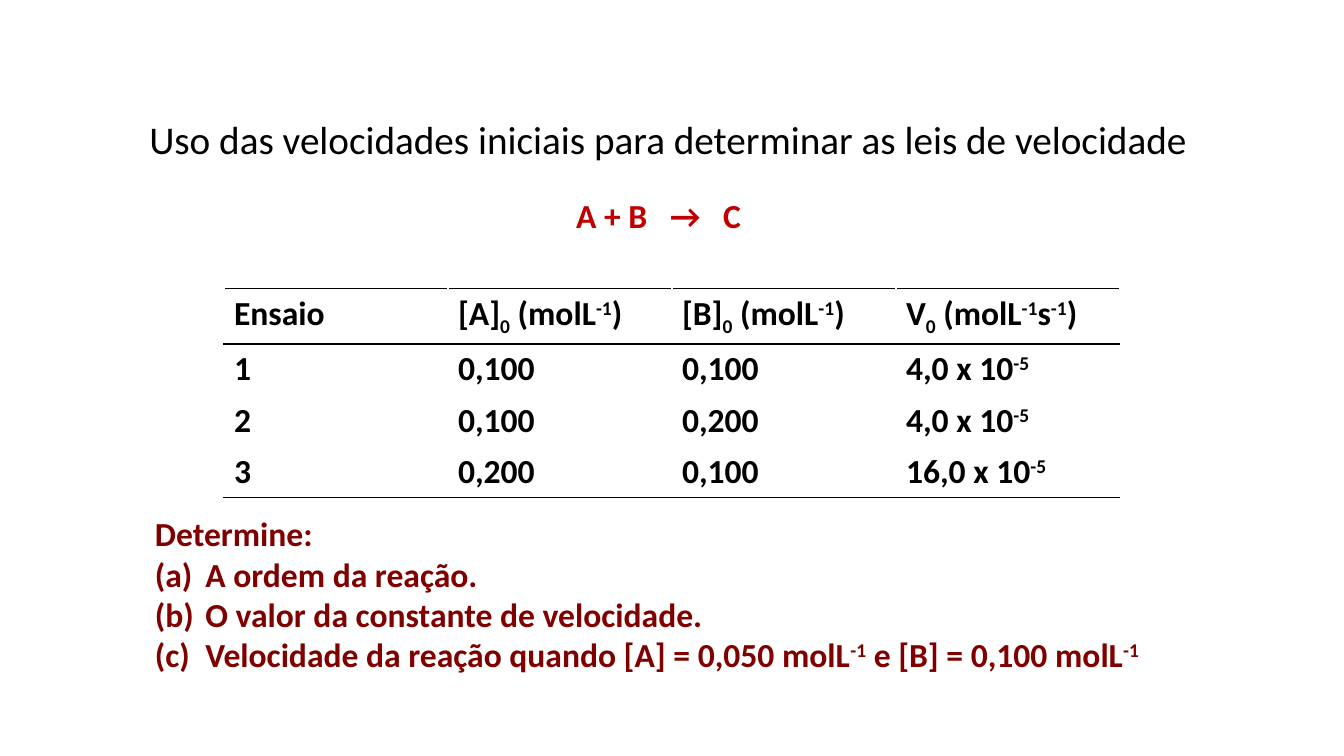
from lxml import etree
from pptx import Presentation
from pptx.dml.color import RGBColor
from pptx.enum import text
from pptx.oxml import ns
from pptx.util import Pt

BLACK, RED, MAROON = "000000", "C00000", "800000"
BASELINES = {"^": "30000", "_": "-25000"}
HEADERS = ["Ensaio", "[A]|_0| (molL|^-1|)", "[B]|_0| (molL|^-1|)",
           "V|_0| (molL|^-1|s|^-1|)"]
TRIALS = [["1", "0,100", "0,100", "4,0 x 10|^-5"],
          ["2", "0,100", "0,200", "4,0 x 10|^-5"],
          ["3", "0,200", "0,100", "16,0 x 10|^-5"]]
QUESTIONS = ["A ordem da reação.", "O valor da constante de velocidade.",
             "Velocidade da reação quando [A] = 0,050 molL|^-1| e [B] = 0,100 molL|^-1"]


def rgb(color):
    return RGBColor.from_string(color)


def add_xml(parent, tag, **attributes):
    return etree.SubElement(parent, ns.qn(tag), attributes)


def write(p, markup, size, color, bold=True):
    p.font.name, p.font.size, p.font.bold = "Calibri", Pt(size), bold
    p.font.color.rgb = rgb(color)
    for part in markup.split("|"):
        r = p.add_run()
        baseline = BASELINES.get(part[:1])
        r.text = part[1:] if baseline else part
        if baseline:
            r._r.get_or_add_rPr().set("baseline", baseline)


def place(sp, box):
    sp.left, sp.top, sp.width, sp.height = [Pt(n) for n in box]
    tf = sp.text_frame
    tf.word_wrap = True
    tf.auto_size = text.MSO_AUTO_SIZE.NONE
    tf.vertical_anchor = text.MSO_ANCHOR.TOP
    return tf


def add_title(slide, box):
    p = place(slide.shapes.title, box).paragraphs[0]
    p.alignment = text.PP_ALIGN.CENTER
    write(p, "Uso das velocidades iniciais para determinar as leis de velocidade",
          28, BLACK, False)


def add_reaction(slide, box):
    sp = slide.shapes.add_textbox(*[Pt(n) for n in box])
    p = place(sp, box).paragraphs[0]
    tabs = etree.Element(ns.qn("a:tabLst"))
    for stop in (67, 105):
        add_xml(tabs, "a:tab", pos=str(Pt(stop)), algn="l")
    p._p.get_or_add_pPr().insert(0, tabs)
    write(p, "A + B\t→\tC", 24, RED)


def add_borders(cell, edges):
    tc_pr = cell._tc.get_or_add_tcPr()
    for edge in edges:
        line = add_xml(tc_pr, edge, w=str(Pt(1)))
        fill = add_xml(line, "a:solidFill")
        add_xml(fill, "a:srgbClr", val=BLACK)


def add_trials(slide, box):
    rows = [HEADERS] + TRIALS
    table = slide.shapes.add_table(len(rows), len(HEADERS),
                                   *[Pt(n) for n in box]).table
    table.first_row = table.horz_banding = False
    edges = {0: ["a:lnT", "a:lnB"], 1: ["a:lnT"], len(rows) - 1: ["a:lnB"]}
    for i, row in enumerate(rows):
        for j, markup in enumerate(row):
            cell = table.cell(i, j)
            add_borders(cell, edges.get(i, []))
            cell.fill.background()
            write(cell.text_frame.paragraphs[0], markup, 24, BLACK)


def add_questions(slide, box):
    tf = place(slide.placeholders[1], box)
    for i, markup in enumerate(["Determine:"] + QUESTIONS):
        p = tf.paragraphs[0] if i == 0 else tf.add_paragraph()
        p.alignment = text.PP_ALIGN.JUSTIFY
        p.space_before = Pt(0)
        p_pr = p._p.get_or_add_pPr()
        indent = Pt(36) if i else 0
        p_pr.set("marL", str(indent))
        p_pr.set("indent", str(-indent))
        if i:
            add_xml(p_pr, "a:buFont", typeface="+mj-lt")
            add_xml(p_pr, "a:buAutoNum", type="alphaLcParenBoth")
        else:
            add_xml(p_pr, "a:buNone")
        write(p, markup, 24, MAROON)


def main():
    prs = Presentation()
    prs.slide_width, prs.slide_height = Pt(960), Pt(540)
    slide = prs.slides.add_slide(prs.slide_layouts[1])
    add_title(slide, (91.5, 78.5, 771, 41))
    add_reaction(slide, (404.5, 136, 146, 36))
    add_trials(slide, (160, 206, 640, 144))
    add_questions(slide, (103.5, 363, 771, 124))
    prs.save("out.pptx")


if __name__ == "__main__":
    main()
